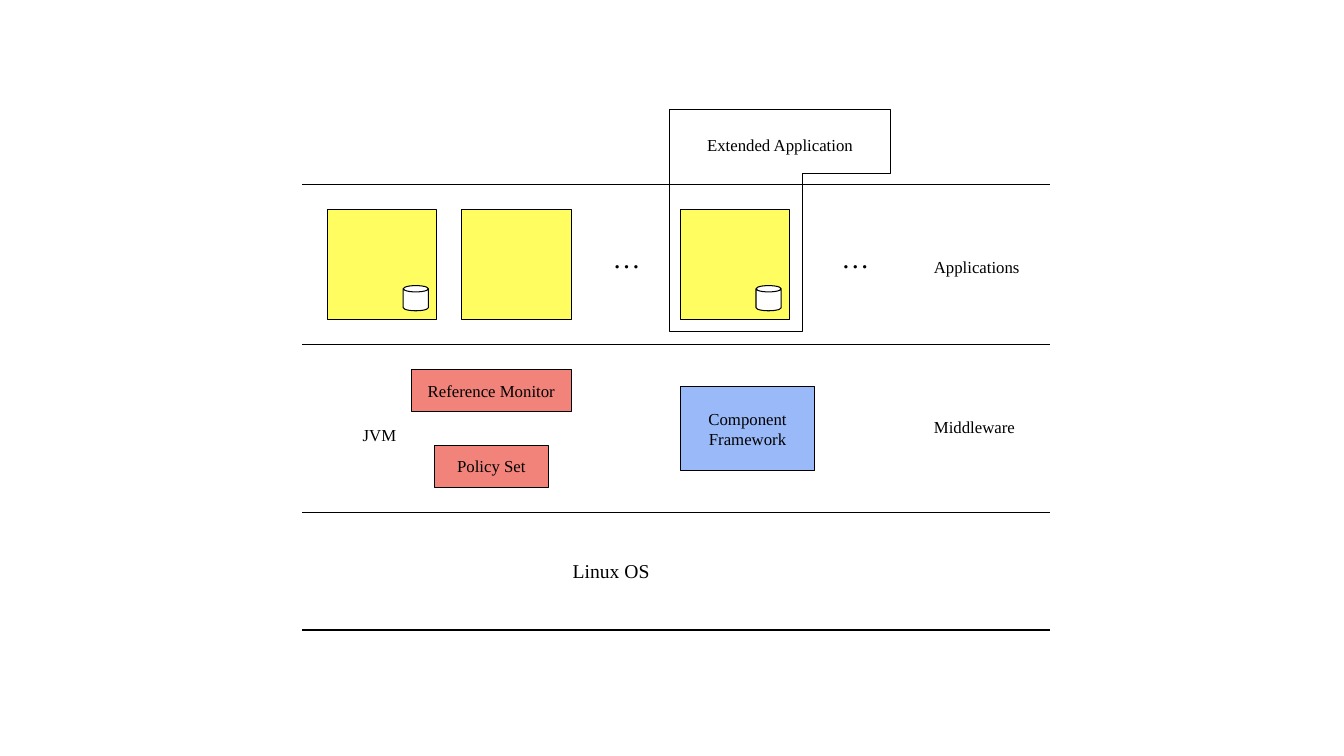
from dataclasses import dataclass

from lxml import etree
from pptx import Presentation
from pptx import util as u
from pptx.dml.color import RGBColor
from pptx.enum import shapes, text
from pptx.oxml.ns import qn

COLS, ROWS = 160, 90
UNIT = u.Inches(1) / 12
SHAPE = shapes.MSO_SHAPE


@dataclass(frozen=True)
class Theme:
    font: str = "Times New Roman"
    ink: str = "000000"
    app: str = "FFFD5F"
    framework: str = "99B9F9"
    security: str = "F2837A"
    store: str = "FFFFFF"
    label: int = 12
    system: int = 14
    dots: int = 20
    rule: float = 0.75
    outline: float = 0.5


THEME = Theme()


def grid(*values):
    return [u.Emu(round(v * UNIT)) for v in values]


def color(value):
    return RGBColor.from_string(value)


def write(tf, content, size=THEME.label, align=text.PP_ALIGN.LEFT,
          anchor=text.MSO_ANCHOR.TOP):
    tf.word_wrap = True
    tf.vertical_anchor = anchor
    p = tf.paragraphs[0]
    p.alignment = align
    r = p.add_run()
    r.text = content
    r.font.name = THEME.font
    r.font.size = u.Pt(size)
    r.font.color.rgb = color(THEME.ink)


def block(s, kind, col, row, width, height, fill=None, weight=THEME.rule, label=None):
    sp = s.shapes.add_shape(kind, *grid(col, row, width, height))
    sp.shadow.inherit = False
    if fill:
        sp.fill.solid()
        sp.fill.fore_color.rgb = color(fill)
    else:
        sp.fill.background()
    sp.line.color.rgb = color(THEME.ink)
    sp.line.width = u.Pt(weight)
    if label:
        write(sp.text_frame, label, align=text.PP_ALIGN.CENTER,
              anchor=text.MSO_ANCHOR.MIDDLE)
    return sp


def caption(s, content, col, row, width, height=3.6, size=THEME.label):
    sp = s.shapes.add_textbox(*grid(col, row, width, height))
    write(sp.text_frame, content, size=size)
    sp.text_frame.auto_size = text.MSO_AUTO_SIZE.SHAPE_TO_FIT_TEXT


def layer_rule(s, row):
    sp = s.shapes.add_connector(shapes.MSO_CONNECTOR.STRAIGHT, *grid(36, row, 125, row))
    sp.line.color.rgb = color(THEME.ink)
    sp.line.width = u.Pt(THEME.rule)
    etree.SubElement(sp._element.spPr, qn("a:effectLst"))


def main():
    prs = Presentation()
    prs.slide_width, prs.slide_height = grid(COLS, ROWS)
    s = prs.slides.add_slide(prs.slide_layouts[6])

    for col in (39, 55, 81):
        block(s, SHAPE.RECTANGLE, col, 25, 13, 13, THEME.app)
    for col in (48, 90):
        block(s, SHAPE.CAN, col, 34, 3, 3, THEME.store)

    for label, col, row, width, height, fill in (
        ("Component Framework", 81, 46, 16, 10, THEME.framework),
        ("Reference Monitor", 49, 44, 19, 5, THEME.security),
        ("Policy Set", 51.75, 53, 13.5, 5, THEME.security),
    ):
        block(s, SHAPE.RECTANGLE, col, row, width, height, fill, label=label)

    for row in (22, 41, 61, 75):
        layer_rule(s, row)

    extension = block(s, SHAPE.CORNER, 79.65, 13, 26.4, 26.4, weight=THEME.outline)
    extension.rotation = 90
    extension.adjustments[0] = 0.6
    extension.adjustments[1] = 0.29

    for col in (71.75, 99):
        caption(s, "…", col, 28, 6, 5.3, size=THEME.dots)
    for label, col, row, width in (
        ("Applications", 110, 30, 13),
        ("Middleware", 110, 49, 13),
        ("Extended Application", 83, 15.4, 20),
        ("JVM", 42, 50, 20),
    ):
        caption(s, label, col, row, width)
    caption(s, "Linux OS", 67, 65.9, 13, 4.1, size=THEME.system)

    prs.save("out.pptx")


if __name__ == "__main__":
    main()
